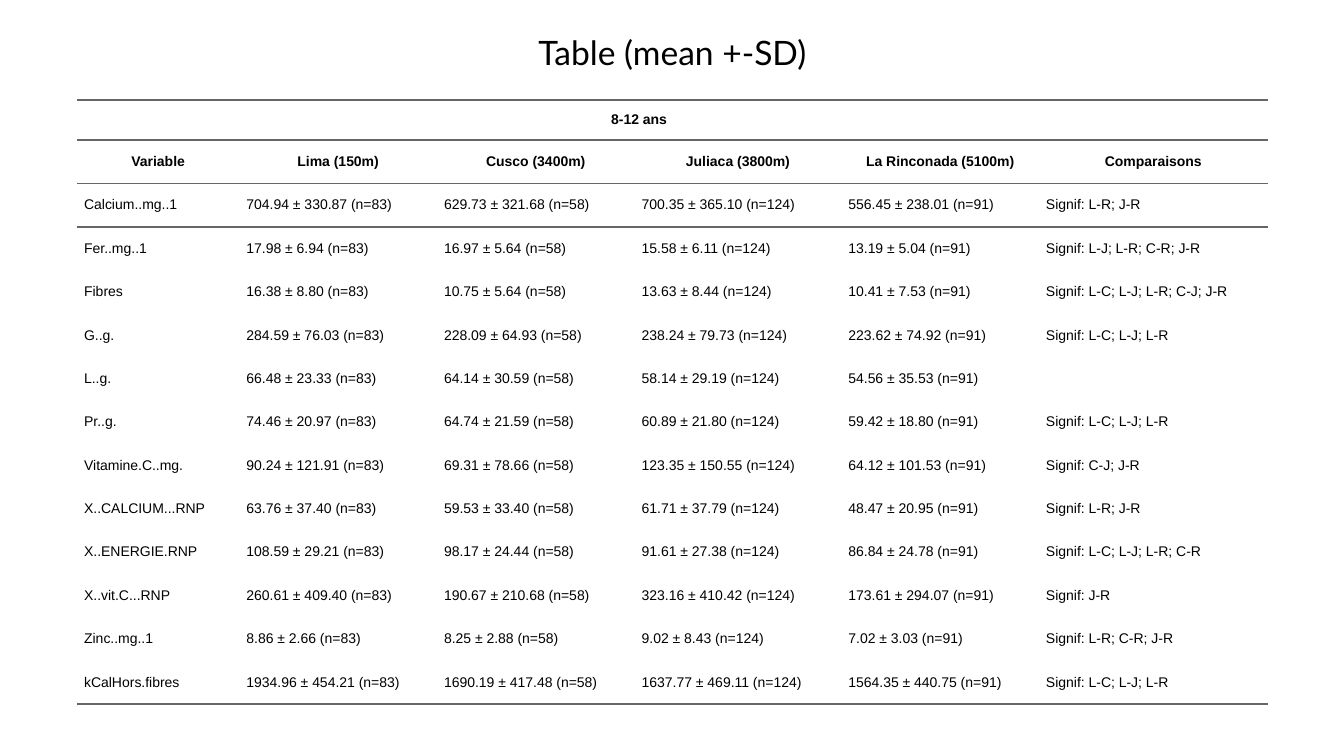
import lxml.etree
import pptx
import pptx.dml.color
import pptx.enum.text
import pptx.oxml.ns
import pptx.util
from pptx.util import Cm

ANCHOR = pptx.enum.text.MSO_ANCHOR
ALIGN = pptx.enum.text.PP_ALIGN
NO_STYLE_NO_GRID = "{2D5ABB26-0587-4C30-8999-92F81FD0307C}"
BLACK, RULE_GREY = "000000", "666666"

AGE_GROUP = "8-12 ans"
HEADINGS = ["Variable", "Lima (150m)", "Cusco (3400m)", "Juliaca (3800m)",
            "La Rinconada (5100m)", "Comparaisons"]
SAMPLE_SIZES = [83, 58, 124, 91]
# Variable, mean ± SD in each town, significant comparisons
RESULTS = [
    ("Calcium..mg..1", "704.94 ± 330.87", "629.73 ± 321.68",
     "700.35 ± 365.10", "556.45 ± 238.01", "Signif: L-R; J-R"),
    ("Fer..mg..1", "17.98 ± 6.94", "16.97 ± 5.64",
     "15.58 ± 6.11", "13.19 ± 5.04", "Signif: L-J; L-R; C-R; J-R"),
    ("Fibres", "16.38 ± 8.80", "10.75 ± 5.64",
     "13.63 ± 8.44", "10.41 ± 7.53", "Signif: L-C; L-J; L-R; C-J; J-R"),
    ("G..g.", "284.59 ± 76.03", "228.09 ± 64.93",
     "238.24 ± 79.73", "223.62 ± 74.92", "Signif: L-C; L-J; L-R"),
    ("L..g.", "66.48 ± 23.33", "64.14 ± 30.59",
     "58.14 ± 29.19", "54.56 ± 35.53", ""),
    ("Pr..g.", "74.46 ± 20.97", "64.74 ± 21.59",
     "60.89 ± 21.80", "59.42 ± 18.80", "Signif: L-C; L-J; L-R"),
    ("Vitamine.C..mg.", "90.24 ± 121.91", "69.31 ± 78.66",
     "123.35 ± 150.55", "64.12 ± 101.53", "Signif: C-J; J-R"),
    ("X..CALCIUM...RNP", "63.76 ± 37.40", "59.53 ± 33.40",
     "61.71 ± 37.79", "48.47 ± 20.95", "Signif: L-R; J-R"),
    ("X..ENERGIE.RNP", "108.59 ± 29.21", "98.17 ± 24.44",
     "91.61 ± 27.38", "86.84 ± 24.78", "Signif: L-C; L-J; L-R; C-R"),
    ("X..vit.C...RNP", "260.61 ± 409.40", "190.67 ± 210.68",
     "323.16 ± 410.42", "173.61 ± 294.07", "Signif: J-R"),
    ("Zinc..mg..1", "8.86 ± 2.66", "8.25 ± 2.88",
     "9.02 ± 8.43", "7.02 ± 3.03", "Signif: L-R; C-R; J-R"),
    ("kCalHors.fibres", "1934.96 ± 454.21", "1690.19 ± 417.48",
     "1637.77 ± 469.11", "1564.35 ± 440.75", "Signif: L-C; L-J; L-R"),
]

TABLE_LEFT, TABLE_TOP, TABLE_HEIGHT = 1.94, 2.51, 15.24
COLUMN_WIDTHS = [4.09, 4.98, 4.98, 5.21, 4.98, 5.77]
FIRST_ROW_HEIGHT = 1.02
CELL_PADDING = Cm(0.18)


def rgb(color):
    return pptx.dml.color.RGBColor.from_string(color)


def set_attributes(target, values):
    for name, value in values.items():
        setattr(target, name, value)


def write_text(paragraph, text, font_values, paragraph_values):
    run = paragraph.add_run()
    run.text = text
    set_attributes(paragraph, paragraph_values)
    set_attributes(run.font, font_values)
    run.font.color.rgb = rgb(BLACK)


def add_border(cell, side):
    properties = cell._tc.get_or_add_tcPr()
    qn = pptx.oxml.ns.qn
    line = lxml.etree.SubElement(properties, qn(f"a:ln{side}"),
                                 w=str(pptx.util.Pt(1.5)))
    fill = lxml.etree.SubElement(line, qn("a:solidFill"))
    lxml.etree.SubElement(fill, qn("a:srgbClr"), val=RULE_GREY)


def format_cell(cell, text, is_heading, border_sides):
    for side in border_sides:
        add_border(cell, side)
    cell.fill.background()
    padding = CELL_PADDING if text else 0
    set_attributes(cell, {
        "margin_left": 0, "margin_right": 0, "margin_top": padding,
        "margin_bottom": padding, "vertical_anchor": ANCHOR.MIDDLE})
    if not text:
        return
    paragraph = cell.text_frame.paragraphs[0]
    write_text(paragraph, text,
               {"name": "Arial", "size": pptx.util.Pt(10), "bold": is_heading},
               {"alignment": ALIGN.CENTER if is_heading else ALIGN.LEFT})
    indents = paragraph._p.get_or_add_pPr()
    for name, value in {"marL": CELL_PADDING, "marR": CELL_PADDING, "indent": 0}.items():
        indents.set(name, str(value))


def table_rows():
    rows = [["", AGE_GROUP, "", "", "", ""], HEADINGS]
    for variable, *means, comparison in RESULTS:
        counted = [f"{mean} (n={size})" for mean, size in zip(means, SAMPLE_SIZES)]
        rows.append([variable, *counted, comparison])
    return rows


def add_results_table(slide):
    rows = table_rows()
    table = slide.shapes.add_table(
        len(rows), len(HEADINGS), Cm(TABLE_LEFT), Cm(TABLE_TOP),
        Cm(sum(COLUMN_WIDTHS)), Cm(TABLE_HEIGHT)).table
    set_attributes(table, {"first_row": False, "horz_banding": False})
    table._tbl.tblPr.find(pptx.oxml.ns.qn("a:tableStyleId")).text = NO_STYLE_NO_GRID

    # Column widths and row heights
    for column, width in zip(table.columns, COLUMN_WIDTHS):
        column.width = Cm(width)
    row_height = (TABLE_HEIGHT - FIRST_ROW_HEIGHT) / (len(rows) - 1)
    for index, row in enumerate(table.rows):
        row.height = Cm(row_height if index else FIRST_ROW_HEIGHT)

    # Cells, with rules around the two heading rows and below the last row
    borders = {0: "TB", 1: "TB", 2: "T", len(rows) - 1: "B"}
    for row_index, texts in enumerate(rows):
        for column_index, text in enumerate(texts):
            format_cell(table.cell(row_index, column_index), text,
                        row_index < 2, borders.get(row_index, ""))
    table.cell(0, 1).merge(table.cell(0, 4))


def add_title(slide, text):
    title = slide.shapes.title
    set_attributes(title, {"left": Cm(1.17), "top": Cm(-0.46),
                           "width": Cm(31.55), "height": Cm(3.68)})
    title.text_frame.vertical_anchor = ANCHOR.MIDDLE
    write_text(title.text_frame.paragraphs[0], text,
               {"name": "Lato", "size": pptx.util.Pt(24)},
               {"alignment": ALIGN.CENTER, "line_spacing": 0.9})


def main():
    presentation = pptx.Presentation()
    set_attributes(presentation, {"slide_width": Cm(33.87), "slide_height": Cm(19.05)})
    slide = presentation.slides.add_slide(presentation.slide_layouts[5])
    add_title(slide, "Table (mean +-SD)")
    add_results_table(slide)
    presentation.save("out.pptx")


if __name__ == "__main__":
    main()
